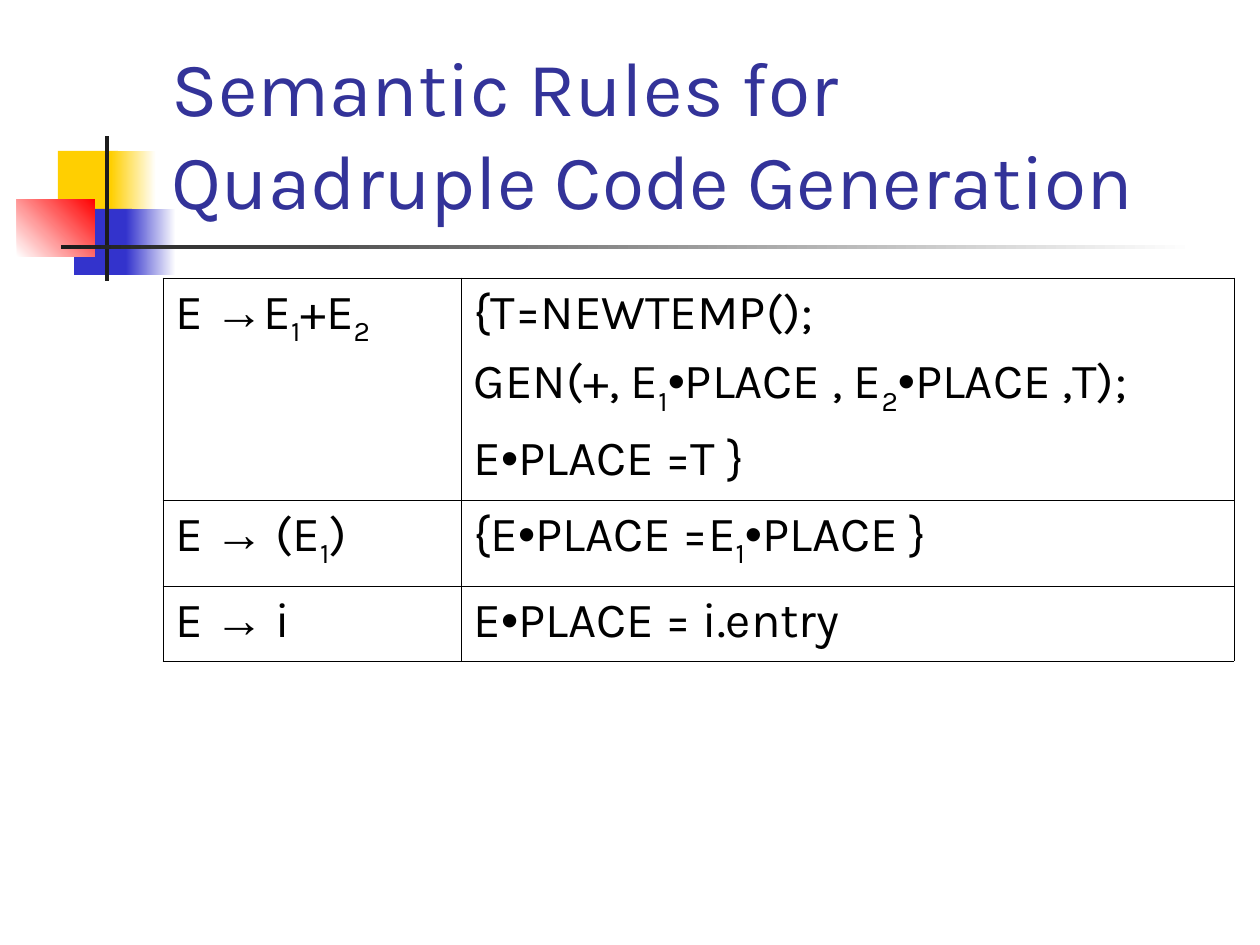
"""Build the slide on semantic rules for quadruple code generation."""
import itertools

import pptx
import pptx.dml.color
import pptx.enum.text
import pptx.oxml
import pptx.oxml.ns
import pptx.util
from pptx.enum.shapes import MSO_SHAPE

RGB = pptx.dml.color.RGBColor
BLACK = RGB(0x00, 0x00, 0x00)
WHITE = RGB(0xFF, 0xFF, 0xFF)
YELLOW = RGB(0xFF, 0xCF, 0x01)
BLUE = RGB(0x33, 0x33, 0xCC)
RED = RGB(0xFF, 0x00, 0x00)
CHARCOAL = RGB(0x1C, 0x1C, 0x1C)
INDIGO = RGB(0x33, 0x33, 0x99)

PX = 914400 // 126
TEXT_FONT, SYMBOL_FONT = "Karla", "Arial"
SYMBOLS = "→•"

TITLE = "Semantic Rules for Quadruple Code Generation"
TITLE_BOX = (159, 29, 1073, 202)

RULES = [
    (["E →E1+E2"],
     ["{T=NEWTEMP();", "GEN(+, E1•PLACE , E2•PLACE ,T);", "E•PLACE =T }"]),
    (["E → (E1)"], ["{E•PLACE =E1•PLACE }"]),
    (["E → i"], ["E•PLACE = i.entry"]),
]
TABLE_ORIGIN = (163, 278)
COLUMN_WIDTHS = (298, 773)
ROW_HEIGHTS = (222, 86, 75)

ORNAMENTS = [
    ((58, 151, 60, 66), (YELLOW,), 0),
    ((111, 151, 45, 66), (YELLOW, WHITE), 0),
    ((74, 209, 58, 66), (BLUE,), 0),
    ((126, 209, 50, 66), (BLUE, WHITE), 0),
    ((17, 199, 78, 58), (WHITE, RED), 45),
    ((105, 136, 4, 145), (CHARCOAL,), 0),
    ((61, 245, 1134, 4), (CHARCOAL, WHITE), 0),
]


def px(*lengths):
    return [length * PX for length in lengths]


def write(frame, lines, *, size, color, gap=0):
    """Write lines, lowering digits and setting symbols in their own font."""
    for index, line in enumerate(lines):
        paragraph = frame.add_paragraph() if index else frame.paragraphs[0]
        paragraph.alignment = pptx.enum.text.PP_ALIGN.LEFT
        if index:
            paragraph.space_before = pptx.util.Pt(gap)
        pieces = itertools.groupby(line, lambda c: (c in SYMBOLS, c.isdigit()))
        for (symbol, subscript), characters in pieces:
            run = paragraph.add_run()
            run.text = "".join(characters)
            run.font.name = SYMBOL_FONT if symbol else TEXT_FONT
            run.font.size = pptx.util.Pt(size)
            run.font.color.rgb = color
            if subscript:
                run.font._element.set("baseline", "-25000")


def add_ornament(slide, box, colors, angle):
    block = slide.shapes.add_shape(MSO_SHAPE.RECTANGLE, *px(*box))
    block.shadow.inherit = False
    block.line.fill.background()
    if len(colors) == 1:
        block.fill.solid()
        block.fill.fore_color.rgb = colors[0]
    else:
        block.fill.gradient()
        block.fill.gradient_angle = angle
        for stop, color, position in zip(block.fill.gradient_stops, colors, (0, 1)):
            stop.color.rgb = color
            stop.position = position


def outline(cell):
    properties = cell._tc.get_or_add_tcPr()
    for position, side in enumerate(("lnL", "lnR", "lnT", "lnB")):
        border = pptx.oxml.parse_xml(
            f'<a:{side} {pptx.oxml.ns.nsdecls("a")} w="{pptx.util.Pt(0.45)}">'
            f'<a:solidFill><a:srgbClr val="{BLACK}"/></a:solidFill></a:{side}>')
        properties.insert(position, border)


def add_rules(slide):
    size = (sum(COLUMN_WIDTHS), sum(ROW_HEIGHTS))
    frame = slide.shapes.add_table(
        len(RULES), len(COLUMN_WIDTHS), *px(*TABLE_ORIGIN, *size))
    rules = frame.table
    rules.first_row = rules.horz_banding = False
    for column, width in zip(rules.columns, px(*COLUMN_WIDTHS)):
        column.width = width
    for row, height, contents in zip(rules.rows, px(*ROW_HEIGHTS), RULES):
        row.height = height
        for cell, lines in zip(row.cells, contents):
            cell.fill.background()
            outline(cell)
            write(cell.text_frame, lines, size=28, color=BLACK, gap=7)


def main():
    deck = pptx.Presentation()
    deck.slide_width, deck.slide_height = px(1260, 945)
    slide = deck.slides.add_slide(deck.slide_layouts[5])
    for ornament in ORNAMENTS:
        add_ornament(slide, *ornament)

    title = slide.shapes.title
    slide.shapes._spTree.append(title._element)
    title.left, title.top, title.width, title.height = px(*TITLE_BOX)
    title.text_frame.word_wrap = True
    title.text_frame.auto_size = pptx.enum.text.MSO_AUTO_SIZE.NONE
    title.text_frame.vertical_anchor = pptx.enum.text.MSO_ANCHOR.BOTTOM
    write(title.text_frame, [TITLE], size=44, color=INDIGO)

    add_rules(slide)
    deck.save("out.pptx")


if __name__ == "__main__":
    main()
